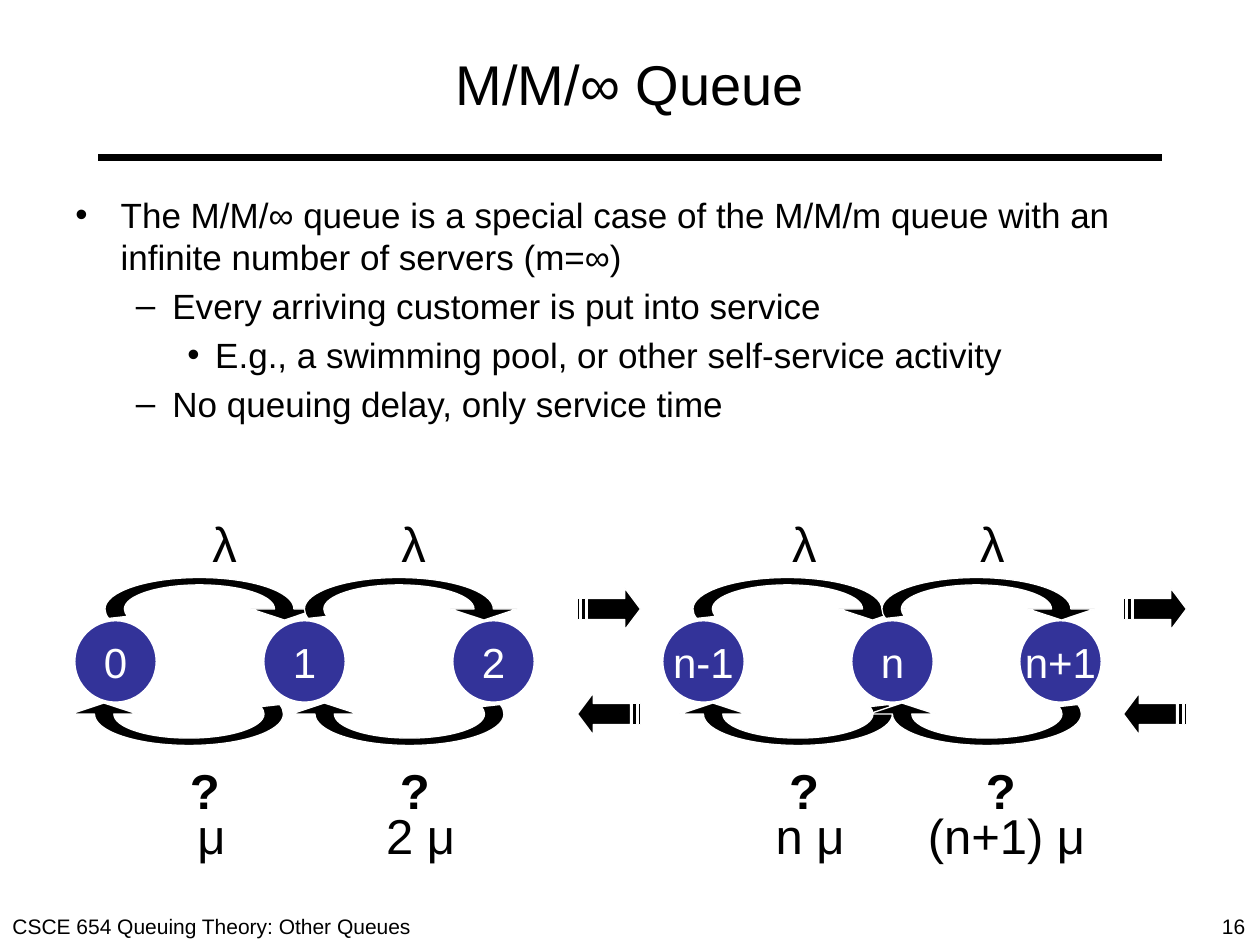
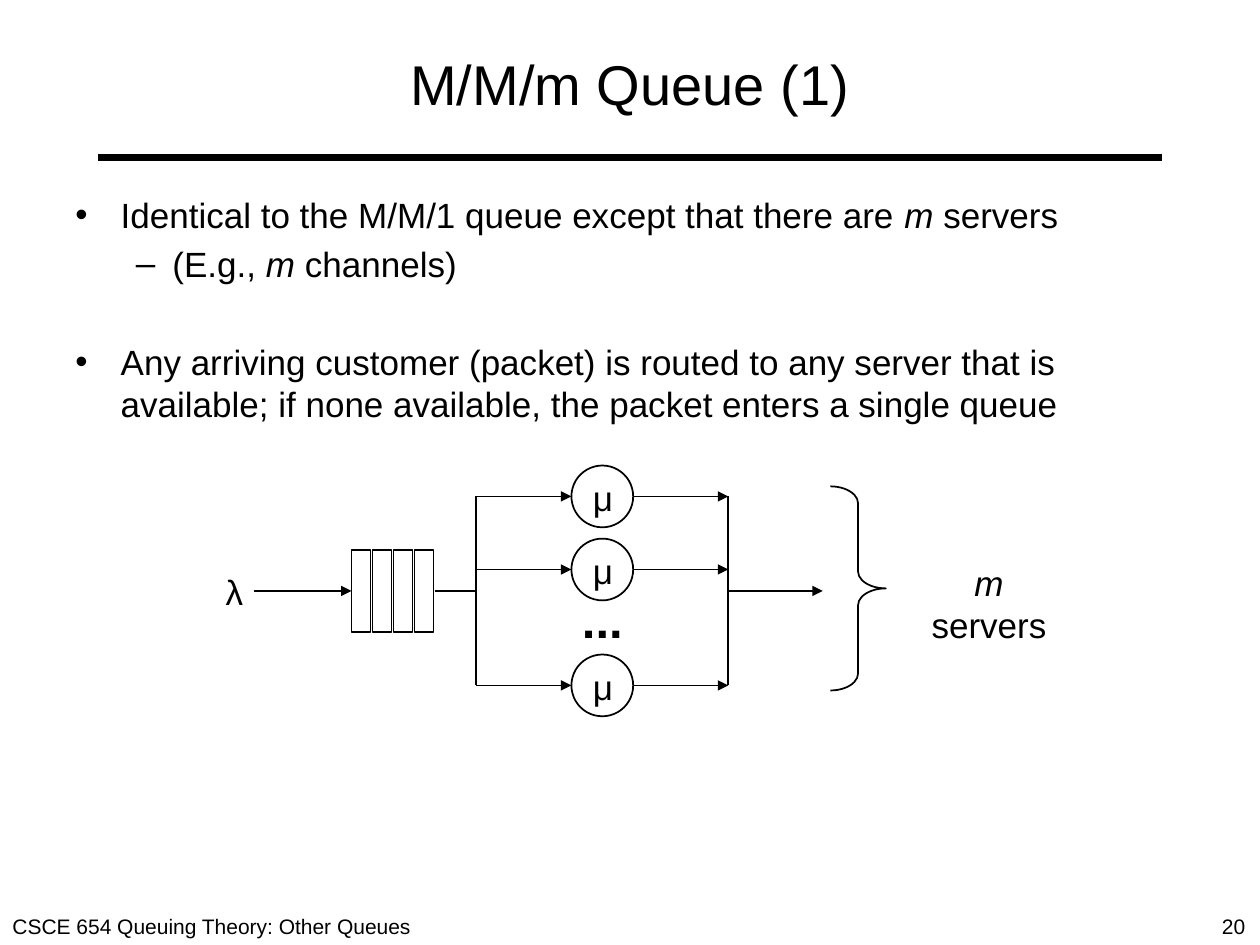
from dataclasses import dataclass

from pptx import Presentation
from pptx import util as u
from pptx.dml.color import RGBColor
from pptx.enum import shapes, text
from pptx.oxml.ns import qn
from lxml import etree


@dataclass(frozen=True)
class Theme:
    font: str = "Arial"
    ink: str = "000000"
    paper: str = "FFFFFF"
    state: str = "333399"
    title: int = 32
    label: int = 28
    node: int = 24
    body: int = 20
    footer: int = 12
    thin: float = 1
    rule: float = 4.5


THEME = Theme()
WIDTH, HEIGHT = 10, 7.5
CELL = 1 / 12  # grid of the state diagram, in inches

# ---- Content ----
FOOTER = "CSCE 654 Queuing Theory: Other Queues"

# Body lines: level, space before in points, runs; a run starting with * is italic
INFINITE = {
    "title": "M/M/∞ Queue", "number": "16",
    "body": [
        (0, 4, ["The M/M/∞ queue is a special case of the M/M/m queue with an "
                "infinite number of servers (m=∞)"]),
        (1, 4, ["Every arriving customer is put into service"]),
        (2, 4, ["E.g., a swimming pool, or other self-service activity"]),
        (1, 4, ["No queuing delay, only service time"]),
    ],
}
MULTI = {
    "title": "M/M/m Queue (1)", "number": "20",
    "body": [
        (0, 4, ["Identical to the M/M/1 queue except that there are ", "*m", " servers"]),
        (1, 4, ["(E.g., ", "*m", " channels)"]),
        (0, 32, ["Any arriving customer (packet) is routed to any server that is "
                 "available; if none available, the packet enters a single queue"]),
    ],
}
LEVELS = [("•", 0.36, 0.36), ("–", 0.77, 0.29), ("•", 1.11, 0.22)]  # bullet, margin, hanging

# State diagram, in grid columns
STATES = [("0", 7), ("1", 25), ("2", 43), ("n-1", 63), ("n", 81), ("n+1", 97)]
# birth arc, death arc, centre of λ, centre of ?, centre of rate, rate
TRANSITIONS = [
    (10, 9, 21.4, 19.28, 20, "μ"),
    (29, 30, 39.4, 39.28, 40.05, "2 μ"),
    (66, 67, 76.6, 76.35, 77.15, "n μ"),
    (84, 85, 94.5, 95.1, 95.85, "(n+1) μ"),
]
CONTINUATIONS = [55, 107]
STATE_ROW, BIRTH_ROW, DEATH_ROW = 59, 55, 65

# Server diagram, in inches
SERVER_ROWS = [3.94, 4.52, 5.44]
MIDDLE_ROW = 4.69
SPLIT, MERGE, SERVER_CENTRE, SERVER_SIZE = 3.78, 5.78, 4.78, 0.49
QUEUE_LEFT, SLOTS, SLOT_WIDTH, SLOT_PITCH, SLOT_HEIGHT = 2.79, 4, 0.15, 1 / 6, 0.65


# ---- Drawing helpers ----
def colour(value):
    return RGBColor.from_string(value)


def box(left, top, width, height):
    return [u.Inches(length) for length in (left, top, width, height)]


def style_runs(paragraph, size, ink=THEME.ink, bold=False):
    for run in paragraph.runs:
        run.font.name, run.font.size = THEME.font, u.Pt(size)
        run.font.color.rgb, run.font.bold = colour(ink), bold


def add_runs(paragraph, runs):
    for words in runs:
        run = paragraph.add_run()
        run.text = words.lstrip("*")
        run.font.italic = words.startswith("*")


def set_frame(frame, margins=(0.1, 0.05), wrap=False, anchor=text.MSO_ANCHOR.TOP):
    frame.margin_left = frame.margin_right = u.Inches(margins[0])
    frame.margin_top = frame.margin_bottom = u.Inches(margins[1])
    frame.word_wrap, frame.vertical_anchor = wrap, anchor


def add_text(slide, area, runs, size, align=text.PP_ALIGN.CENTER, bold=False, **frame_options):
    frame = slide.shapes.add_textbox(*box(*area)).text_frame
    set_frame(frame, **frame_options)
    paragraph = frame.paragraphs[0]
    add_runs(paragraph, runs)
    paragraph.alignment = align
    style_runs(paragraph, size, bold=bold)


def add_label(slide, centre, top, words, size=THEME.label, bold=False):
    width = 0.22 + len(words) * size * 0.0063
    add_text(slide, (centre - width / 2, top, width, 0.1 + size / 60), [words], size, bold=bold)


def paint(shape, fill, line, width):
    shape.shadow.inherit = False
    if fill:
        shape.fill.solid()
        shape.fill.fore_color.rgb = colour(fill)
    else:
        shape.fill.background()
    shape.line.color.rgb, shape.line.width = colour(line), u.Pt(width)


def add_preset(slide, kind, area, fill=None, line=THEME.ink, width=THEME.thin):
    shape = slide.shapes.add_shape(kind, *box(*area))
    paint(shape, fill, line, width)
    return shape


def add_line(slide, start, end, arrow=False, width=THEME.thin):
    line = slide.shapes.add_connector(shapes.MSO_CONNECTOR.STRAIGHT,
                                      *[u.Inches(length) for length in (*start, *end)])
    line.line.color.rgb, line.line.width = colour(THEME.ink), u.Pt(width)
    if arrow:
        etree.SubElement(line.line._get_or_add_ln(), qn("a:tailEnd"), type="triangle")
    etree.SubElement(line._element.spPr, qn("a:effectLst"))


def add_outline(slide, column, row, contours):
    """Draw closed contours in grid cells; a step of three points is a Bézier curve."""
    def emu(point):
        return u.Inches((column + point[0]) * CELL), u.Inches((row + point[1]) * CELL)

    builder = None
    for (start,), *steps in contours:
        if builder is None:
            builder = slide.shapes.build_freeform(*emu(start), scale=1.0)
        else:
            builder.move_to(*emu(start))
        builder.add_line_segments([emu(point) for step in steps for point in step], close=True)
    shape = builder.convert_to_shape()
    paint(shape, THEME.ink, THEME.paper, 0.75)

    segments = iter(list(shape._element.iter(qn("a:lnTo"))))
    for step in (step for contour in contours for step in contour[1:]):
        drawn = [next(segments) for _ in step]
        if len(step) == 3:
            curve = etree.Element(qn("a:cubicBezTo"))
            drawn[0].addprevious(curve)
            for segment in drawn:
                curve.append(segment[0])
                segment.getparent().remove(segment)


# ---- Outlines, in grid cells ----
def corners(*points):
    return [(point,) for point in points]


ARC = [[
    *corners((16.15, 3)),
    ((16.15, 1.73), (12.95, 0.7), (9, 0.7)), ((5.05, 0.7), (1.85, 1.73), (1.85, 3)),
    ((1.85, 3.24), (1.97, 3.48), (2.15, 3.7)),
    *corners((0.35, 3.9)),
    ((0.12, 3.6), (0, 3.3), (0, 3)),
    ((0, 1.34), (4.03, 0), (9, 0)), ((13.97, 0), (18, 1.34), (18, 3)),
    *corners((18, 3), (20.25, 3), (17.1, 4.05), (13.9, 3), (16.15, 3)),
]]


def bar(left, right):
    return corners((left, 1), (left, 3), (right, 3), (right, 1))


STRIPED = [corners((4.5, 0), (4.5, 1), (0.94, 1), (0.94, 3), (4.5, 3), (4.5, 4), (6, 2)),
           bar(0.38, 0.75), bar(0, 0.19)]


def turned(contours, width, height):
    return [[tuple((width - x, height - y) for x, y in step) for step in contour]
            for contour in contours]


# ---- Shared slide parts ----
def add_base(presentation, content):
    slide = presentation.slides.add_slide(presentation.slide_layouts[6])
    margin = 0.78
    add_line(slide, (margin, 1.25), (WIDTH - margin, 1.25), width=THEME.rule)
    left = text.PP_ALIGN.LEFT
    add_text(slide, (0, 7.2, 4.08, 0.3), [FOOTER], THEME.footer, left, wrap=True)
    add_text(slide, (9.6, 7.2, 0.4, 0.3), [content["number"]], THEME.footer, left)
    add_text(slide, (0.5, 0.38, 9, 0.57), [content["title"]], THEME.title,
             margins=(0.05, 0.02), wrap=True, anchor=text.MSO_ANCHOR.BOTTOM)
    add_body(slide, content["body"])
    return slide


def add_body(slide, lines):
    frame = slide.shapes.add_textbox(*box(0.5, 1.49, 9, 5.2)).text_frame
    set_frame(frame, wrap=True)
    for index, (level, space, runs) in enumerate(lines):
        paragraph = frame.add_paragraph() if index else frame.paragraphs[0]
        add_runs(paragraph, runs)
        style_runs(paragraph, THEME.body)
        paragraph.level, paragraph.space_before = level, u.Pt(space)
        bullet, margin, hanging = LEVELS[level]
        properties = paragraph._p.get_or_add_pPr()
        properties.set("marL", str(u.Inches(margin)))
        properties.set("indent", str(-u.Inches(hanging)))
        etree.SubElement(properties, qn("a:buFont"), typeface=THEME.font)
        etree.SubElement(properties, qn("a:buChar"), char=bullet)


# ---- Diagrams ----
def draw_states(slide):
    for name, column in STATES:
        area = [cells * CELL for cells in (column, STATE_ROW, 8, 8)]
        state = add_preset(slide, shapes.MSO_SHAPE.OVAL, area,
                           fill=THEME.state, line=THEME.paper, width=2.25)
        frame = state.text_frame
        frame.text = name
        set_frame(frame, anchor=text.MSO_ANCHOR.MIDDLE)
        frame.paragraphs[0].alignment = text.PP_ALIGN.CENTER
        style_runs(frame.paragraphs[0], THEME.node, THEME.paper)
    for birth, death, arrival, question, service, rate in TRANSITIONS:
        add_outline(slide, birth, BIRTH_ROW, ARC)
        add_outline(slide, death, DEATH_ROW, turned(ARC, 18, 6))
        add_label(slide, arrival * CELL, 4.03, "λ")
        add_label(slide, question * CELL, 5.99, "?", bold=True)
        add_label(slide, service * CELL, 6.34, rate)
    for column in CONTINUATIONS:
        add_outline(slide, column, BIRTH_ROW + 1, STRIPED)
        add_outline(slide, column, DEATH_ROW + 1, turned(STRIPED, 6, 4))


def draw_servers(slide):
    # Arrivals and the single queue
    add_label(slide, 1.86, 4.48, "λ", THEME.body)
    add_line(slide, (2.02, MIDDLE_ROW), (QUEUE_LEFT, MIDDLE_ROW), arrow=True)
    for slot in range(SLOTS):
        add_preset(slide, shapes.MSO_SHAPE.RECTANGLE,
                   (QUEUE_LEFT + slot * SLOT_PITCH, MIDDLE_ROW - SLOT_HEIGHT / 2,
                    SLOT_WIDTH, SLOT_HEIGHT))
    add_line(slide, (3.45, MIDDLE_ROW), (SPLIT, MIDDLE_ROW))

    # Parallel servers between the split and the merge
    for column in (SPLIT, MERGE):
        add_line(slide, (column, SERVER_ROWS[0]), (column, SERVER_ROWS[-1]))
    radius = SERVER_SIZE / 2
    for row in SERVER_ROWS:
        add_line(slide, (SPLIT, row), (SERVER_CENTRE - radius, row), arrow=True)
        add_preset(slide, shapes.MSO_SHAPE.OVAL,
                   (SERVER_CENTRE - radius, row - radius, SERVER_SIZE, SERVER_SIZE))
        add_label(slide, SERVER_CENTRE, row - 0.21, "μ", THEME.body)
        add_line(slide, (SERVER_CENTRE + radius, row), (MERGE, row), arrow=True)
    add_label(slide, SERVER_CENTRE, 4.63, "...", bold=True)
    add_line(slide, (MERGE, MIDDLE_ROW), (6.53, MIDDLE_ROW), arrow=True)

    # Brace with the number of servers
    brace = add_preset(slide, shapes.MSO_SHAPE.RIGHT_BRACE, (6.59, 3.86, 0.44, 1.62))
    brace.adjustments[0], brace.adjustments[1] = 0.305, 0.5
    add_text(slide, (7.25, 4.41, 1.2, 0.77), ["*m", " servers"], THEME.body, wrap=True)


def main():
    presentation = Presentation()
    presentation.slide_width, presentation.slide_height = u.Inches(WIDTH), u.Inches(HEIGHT)
    draw_states(add_base(presentation, INFINITE))
    draw_servers(add_base(presentation, MULTI))
    presentation.save("out.pptx")


if __name__ == "__main__":
    main()
